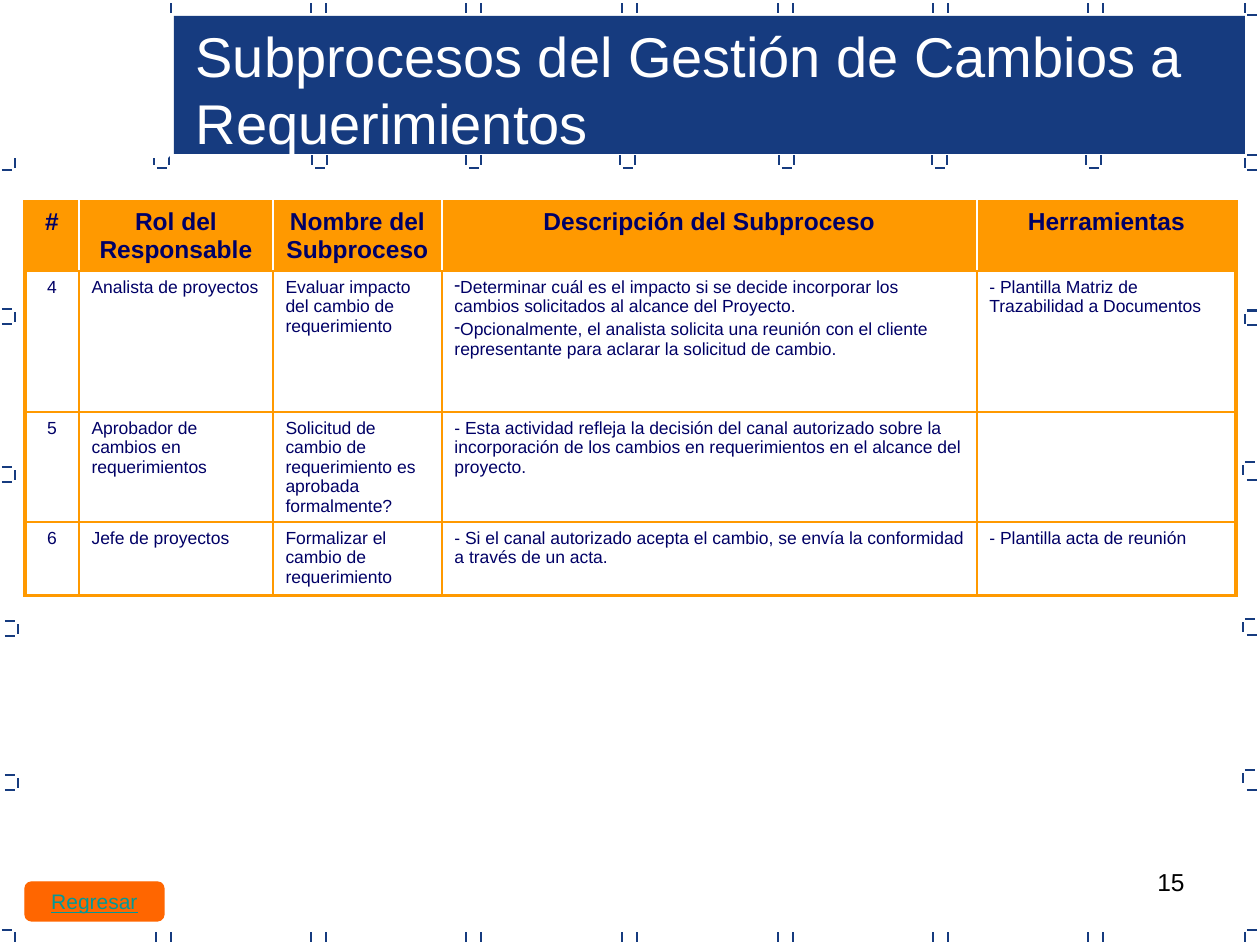
import pptx
import pptx.util
import pptx.dml.color
import pptx.enum.shapes
import pptx.enum.text
import pptx.oxml.ns
import lxml.etree

RGBColor = pptx.dml.color.RGBColor
Pt = pptx.util.Pt
MSO_SHAPE = pptx.enum.shapes.MSO_SHAPE
PP_ALIGN = pptx.enum.text.PP_ALIGN
MSO_ANCHOR = pptx.enum.text.MSO_ANCHOR
qn = pptx.oxml.ns.qn

BLUE = RGBColor(0x16, 0x3B, 0x7F)
NAVY = RGBColor(0x00, 0x00, 0x66)
AMBER = RGBColor(0xFF, 0x99, 0x00)
ORANGE = RGBColor(0xFF, 0x66, 0x00)
TEAL = RGBColor(0x00, 0x99, 0x99)
WHITE = RGBColor(0xFF, 0xFF, 0xFF)
BLACK = RGBColor(0x00, 0x00, 0x00)
FONT = "Arial"

# Content: a tuple in a cell is a list of dashed paragraphs
TITLE = "Subprocesos del Gestión de Cambios a Requerimientos"
HEADER = ["#", "Rol del Responsable", "Nombre del Subproceso",
          "Descripción del Subproceso", "Herramientas"]
ROWS = [
    ["4", "Analista de proyectos", "Evaluar impacto del cambio de requerimiento",
     ("Determinar cuál es el impacto si se decide incorporar los cambios solicitados "
      "al alcance del Proyecto.",
      "Opcionalmente, el analista solicita una reunión con el cliente representante "
      "para aclarar la solicitud de cambio."),
     "- Plantilla Matriz de Trazabilidad a Documentos"],
    ["5", "Aprobador de cambios en requerimientos",
     "Solicitud de cambio de requerimiento es aprobada formalmente?",
     "- Esta actividad refleja la decisión del canal autorizado sobre la incorporación "
     "de los cambios en requerimientos en el alcance del proyecto.", ""],
    ["6", "Jefe de proyectos", "Formalizar el cambio de requerimiento",
     "- Si el canal autorizado acepta el cambio, se envía la conformidad a través de un acta.",
     "- Plantilla acta de reunión"],
]
COLUMN_WIDTHS = [54, 194, 169, 535, 259]
ROW_HEIGHTS = [69, 141, 110, 73]

# Border ornament, in px
TICK = 10
GAP = 15
PITCH = 155.5
SOCKETS = [154, 312, 466, 620, 779, 932, 1086]
LEFT_BRACKETS = [(2, 155), (2, 309), (2, 467), (5, 621), (5, 775)]
RIGHT_BRACKETS = [(1247, 155), (1247, 311), (1245, 462), (1245, 619), (1245, 770)]
RIGHT_DASHES = [15, 170, 310, 325, 480, 635, 790, 930]


def px(value):
    return pptx.util.Emu(round(value * 914400 / 126))


def box(left, top, width, height):
    return px(left), px(top), px(width), px(height)


def add_line(slide, x1, y1, x2, y2):
    line = slide.shapes.add_connector(
        pptx.enum.shapes.MSO_CONNECTOR.STRAIGHT, px(x1), px(y1), px(x2), px(y2))
    line.line.color.rgb = BLUE
    line.line.width = Pt(0.75)
    lxml.etree.SubElement(line._element.spPr, qn("a:effectLst"))


def add_vertical(slide, x, top):
    add_line(slide, x, top + TICK, x, top)


def add_horizontal(slide, left, y):
    add_line(slide, left, y, left + TICK, y)


def add_block(slide, kind, bounds, fill, outline=None, width=0.75):
    shape = slide.shapes.add_shape(kind, *box(*bounds))
    shape.shadow.inherit = False
    shape.fill.solid()
    shape.fill.fore_color.rgb = fill
    if outline is None:
        shape.line.fill.background()
    else:
        shape.line.color.rgb = outline
        shape.line.width = Pt(width)
    return shape


def style(paragraph, size, color, align=PP_ALIGN.LEFT, bold=False):
    paragraph.alignment = align
    paragraph.font.name = FONT
    paragraph.font.size = Pt(size)
    paragraph.font.bold = bold
    paragraph.font.color.rgb = color


def set_border(cell, side, color, width):
    properties = cell._tc.get_or_add_tcPr()
    line = lxml.etree.SubElement(properties, qn("a:" + side), w=str(Pt(width)))
    fill = lxml.etree.SubElement(line, qn("a:solidFill"))
    lxml.etree.SubElement(fill, qn("a:srgbClr"), val=str(color))


def set_dash(paragraph):
    properties = paragraph._p.get_or_add_pPr()
    properties.set("marL", "0")
    properties.set("indent", "0")
    lxml.etree.SubElement(properties, qn("a:buChar"), char="-")


def fill_cell(cell, content, row, column):
    dashed = isinstance(content, tuple)
    cell.text = "\n".join(content) if dashed else content
    for index, paragraph in enumerate(cell.text_frame.paragraphs):
        centered = row == 0 or column == 0
        style(paragraph, 14 if row == 0 else 10, NAVY,
              PP_ALIGN.CENTER if centered else PP_ALIGN.LEFT, row == 0)
        if index:
            paragraph.space_before = Pt(2)
        if dashed:
            set_dash(paragraph)
    # Thick outer frame, white rules between header cells, thin amber elsewhere
    inner = (WHITE, 1) if row == 0 else (AMBER, 1.5)
    outer = (AMBER, 2.25)
    set_border(cell, "lnL", *(outer if column == 0 else inner))
    set_border(cell, "lnR", *(outer if column == len(HEADER) - 1 else inner))
    set_border(cell, "lnT", AMBER, 2.25 if row == 0 else 1.5)
    set_border(cell, "lnB", AMBER, 2.25 if row == len(ROWS) else 1.5)
    if row == 0:
        cell.fill.solid()
        cell.fill.fore_color.rgb = AMBER
    else:
        cell.fill.background()


def add_ornament(slide):
    # Ticks on the top and bottom edges
    pairs = [round(PITCH * k) + shift for k in range(1, 8) for shift in (0, GAP)]
    for x in pairs[1:] + [1245]:
        add_vertical(slide, x, 3)
    for x in [15] + pairs + [1245]:
        add_vertical(slide, x, 932)
    # Sockets under the banner
    for x in SOCKETS:
        add_vertical(slide, x, 155)
        add_vertical(slide, x + GAP, 155)
        add_horizontal(slide, x + 3, 168)
    # Brackets on the sides
    for left, top in LEFT_BRACKETS:
        add_vertical(slide, left + 13, top + 3)
        add_horizontal(slide, left, top)
        add_horizontal(slide, left, top + GAP)
    add_horizontal(slide, 2, 930)
    for left, top in RIGHT_BRACKETS:
        add_vertical(slide, left - 2, top + 3)
        add_horizontal(slide, left, top)
    for y in RIGHT_DASHES:
        add_horizontal(slide, 1247, y)


def main():
    presentation = pptx.Presentation()
    presentation.slide_width, presentation.slide_height = px(1260), px(945)
    slide = presentation.slides.add_slide(presentation.slide_layouts[5])

    # Background
    add_ornament(slide)
    add_block(slide, MSO_SHAPE.RECTANGLE, (174, 16, 1071, 138), BLUE)
    add_block(slide, MSO_SHAPE.RECTANGLE, (0, 0, 168, 156), WHITE, WHITE, 2)

    # Title, brought in front of the banner
    title = slide.shapes.title
    title.left, title.top, title.width, title.height = box(183, 15, 1058, 147)
    title.text_frame.text = TITLE
    title.text_frame.vertical_anchor = MSO_ANCHOR.TOP
    style(title.text_frame.paragraphs[0], 32, WHITE)
    slide.shapes._spTree.append(title._element)

    # Subprocess table
    table = slide.shapes.add_table(
        len(ROWS) + 1, len(HEADER),
        *box(25, 202, sum(COLUMN_WIDTHS), sum(ROW_HEIGHTS))).table
    table.horz_banding = False
    for column, width in zip(table.columns, COLUMN_WIDTHS):
        column.width = px(width)
    for row, height in zip(table.rows, ROW_HEIGHTS):
        row.height = px(height)
    for row, contents in enumerate([HEADER] + ROWS):
        for column, content in enumerate(contents):
            fill_cell(table.cell(row, column), content, row, column)

    # Return button
    button = add_block(slide, MSO_SHAPE.FLOWCHART_ALTERNATE_PROCESS,
                       (25, 882, 139, 39), ORANGE, ORANGE)
    button.text_frame.text = "Regresar"
    button.text_frame.word_wrap = False
    button.text_frame.vertical_anchor = MSO_ANCHOR.MIDDLE
    label = button.text_frame.paragraphs[0]
    style(label, 12, TEAL, PP_ALIGN.CENTER)
    label.font.underline = True

    # Slide number
    number = slide.shapes.add_textbox(*box(903, 861, 294, 66))
    number.text_frame.word_wrap = True
    number.text_frame.text = "15"
    style(number.text_frame.paragraphs[0], 14, BLACK, PP_ALIGN.RIGHT)

    presentation.save("out.pptx")


if __name__ == "__main__":
    main()
